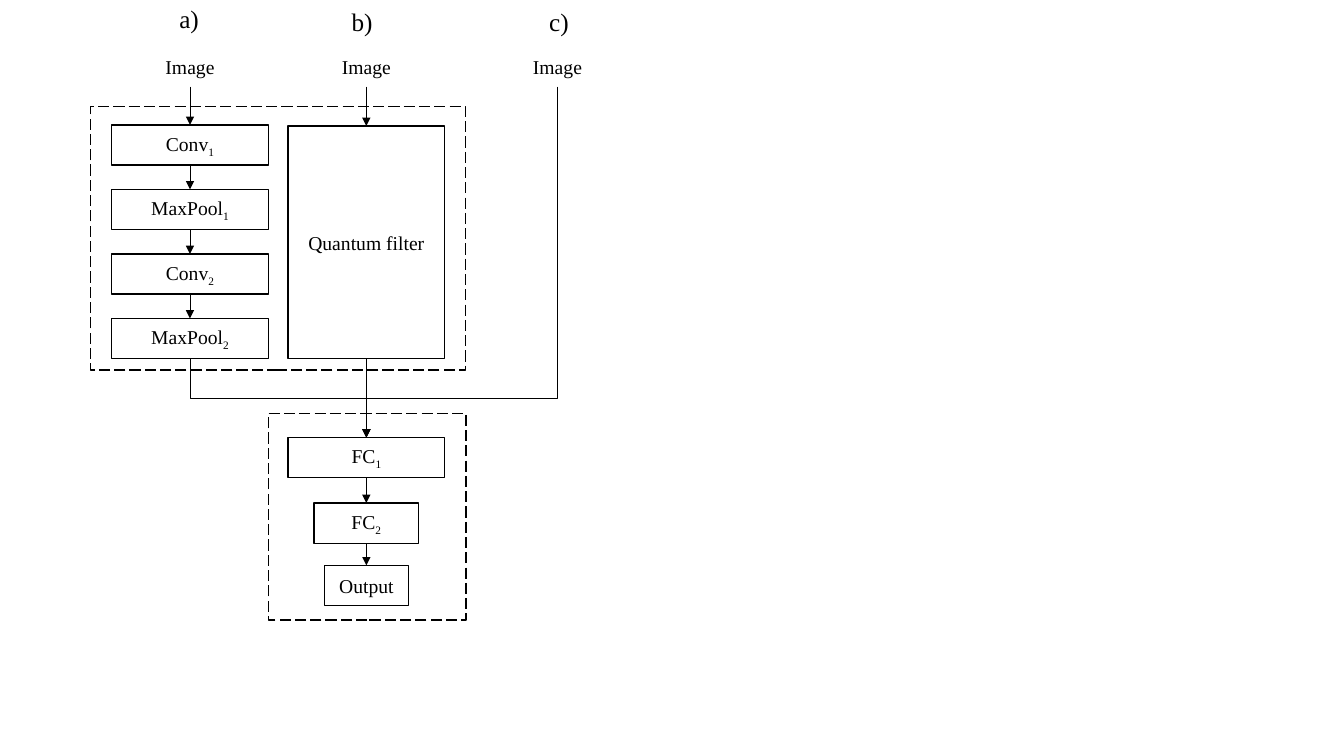
from dataclasses import dataclass
from lxml.etree import SubElement
from pptx import Presentation
from pptx.dml.color import RGBColor
from pptx.enum.dml import MSO_LINE_DASH_STYLE as Dash
from pptx.enum.shapes import MSO_CONNECTOR as Connector, MSO_SHAPE as Shape
from pptx.enum.text import MSO_ANCHOR as Anchor, PP_ALIGN as Align
from pptx.oxml.ns import qn
from pptx.util import Pt


@dataclass(frozen=True)
class Theme:
    ink: RGBColor = RGBColor(0, 0, 0)
    font: str = "Times New Roman"
    label_size: float = 14
    heading_size: float = 18
    box_line: float = 1
    arrow_line: float = 0.5


theme = Theme()
presentation = Presentation()
presentation.slide_width, presentation.slide_height = Pt(960), Pt(540)
slide = presentation.slides.add_slide(presentation.slide_layouts[6])


def write(shape, text, subscript="", size=theme.label_size, align=Align.CENTER):
    frame = shape.text_frame
    frame.word_wrap = True
    frame.vertical_anchor = Anchor.MIDDLE
    paragraph = frame.paragraphs[0]
    paragraph.alignment = align
    for part in filter(None, (text, subscript)):
        run = paragraph.add_run()
        run.text = part
        run.font.name, run.font.size = theme.font, Pt(size)
        run.font.color.rgb = theme.ink
    if subscript:
        run._r.get_or_add_rPr().set("baseline", "-25000")


def style_arrow(arrow):
    arrow.line.color.rgb = theme.ink
    arrow.line.width = Pt(theme.arrow_line)
    SubElement(arrow.line._get_or_add_ln(), qn("a:tailEnd"), type="triangle")
    SubElement(arrow._element.spPr, qn("a:effectLst"))


# Column centres and common sizes
center_a, center_b, center_c = 135.7, 261.7, 398.2
box_width, box_height = 112, 28.8
image_top, conv_top, step = 33.1, 89.2, 46.1
fc_top, merge_y = 312.5, 284.4

# Column headings
for heading, left, top, width in [
    ("a)", 121, -1.4, 32.4), ("b)", 244.1, 0.7, 35.3), ("c)", 385.2, 0.7, 49),
]:
    box = slide.shapes.add_textbox(Pt(left), Pt(top), Pt(width), Pt(29))
    write(box, heading, size=theme.heading_size, align=Align.LEFT)

# Image inputs
images = []
for center in (center_a, center_b, center_c):
    box = slide.shapes.add_textbox(
        Pt(center - box_width / 2), Pt(image_top), Pt(box_width), Pt(box_height))
    write(box, "Image")
    images.append(box)

# Layer boxes: text, subscript, centre, top, width, height
layers = [
    (name, index, center_a, conv_top + step * row, box_width, box_height)
    for row, (name, index) in enumerate(
        [("Conv", "1"), ("MaxPool", "1"), ("Conv", "2"), ("MaxPool", "2")])
] + [
    ("Quantum filter", "", center_b, 90, box_width, 166.3),
    ("FC", "1", center_b, fc_top, box_width, box_height),
    ("FC", "2", center_b, 359.3, 75, box_height),
    ("Output", "", center_b, 403.9, 60, box_height),
]
# Dashed groups: feature extractors, shared classifier
groups = [
    ("", "", 198.7, 76.3, 268, 188),
    ("", "", 262.3, 295.2, 141, 147.6),
]
boxes = []
for text, subscript, center, top, width, height in layers + groups:
    box = slide.shapes.add_shape(
        Shape.RECTANGLE, Pt(center - width / 2), Pt(top), Pt(width), Pt(height))
    box.shadow.inherit = False
    box.fill.background()
    box.line.color.rgb = theme.ink
    box.line.width = Pt(theme.box_line)
    if text:
        write(box, text, subscript)
    else:
        box.line.dash_style = Dash.LONG_DASH
    boxes.append(box)

# Straight arrows down columns a and b
for chain in ([images[0], *boxes[:4]], [images[1], *boxes[4:8]]):
    for upper, lower in zip(chain, chain[1:]):
        arrow = slide.shapes.add_connector(Connector.STRAIGHT, 0, 0, 0, 0)
        arrow.begin_connect(upper, 2)
        arrow.end_connect(lower, 0)
        style_arrow(arrow)

# Bent arrows from columns a and c: a turned elbow leaves and arrives vertically
for start_x, start_y in [
    (center_a, conv_top + 3 * step + box_height),
    (center_c, image_top + box_height),
]:
    drop, across = fc_top - start_y, abs(center_b - start_x)
    middle_x, middle_y = (start_x + center_b) / 2, (start_y + fc_top) / 2
    from_left = start_x < center_b
    half = -drop / 2 if from_left else drop / 2
    arrow = slide.shapes.add_connector(
        Connector.ELBOW,
        Pt(middle_x - half), Pt(middle_y - across / 2),
        Pt(middle_x + half), Pt(middle_y + across / 2))
    properties = arrow._element.spPr
    rotation = 270 if from_left else 90
    properties.find(qn("a:xfrm")).set("rot", str(rotation * 60000))
    bend = round((merge_y - start_y) / drop * 100000)
    adjustments = properties.find(qn("a:prstGeom")).find(qn("a:avLst"))
    SubElement(adjustments, qn("a:gd"), name="adj1", fmla=f"val {bend}")
    style_arrow(arrow)

presentation.save("out.pptx")
